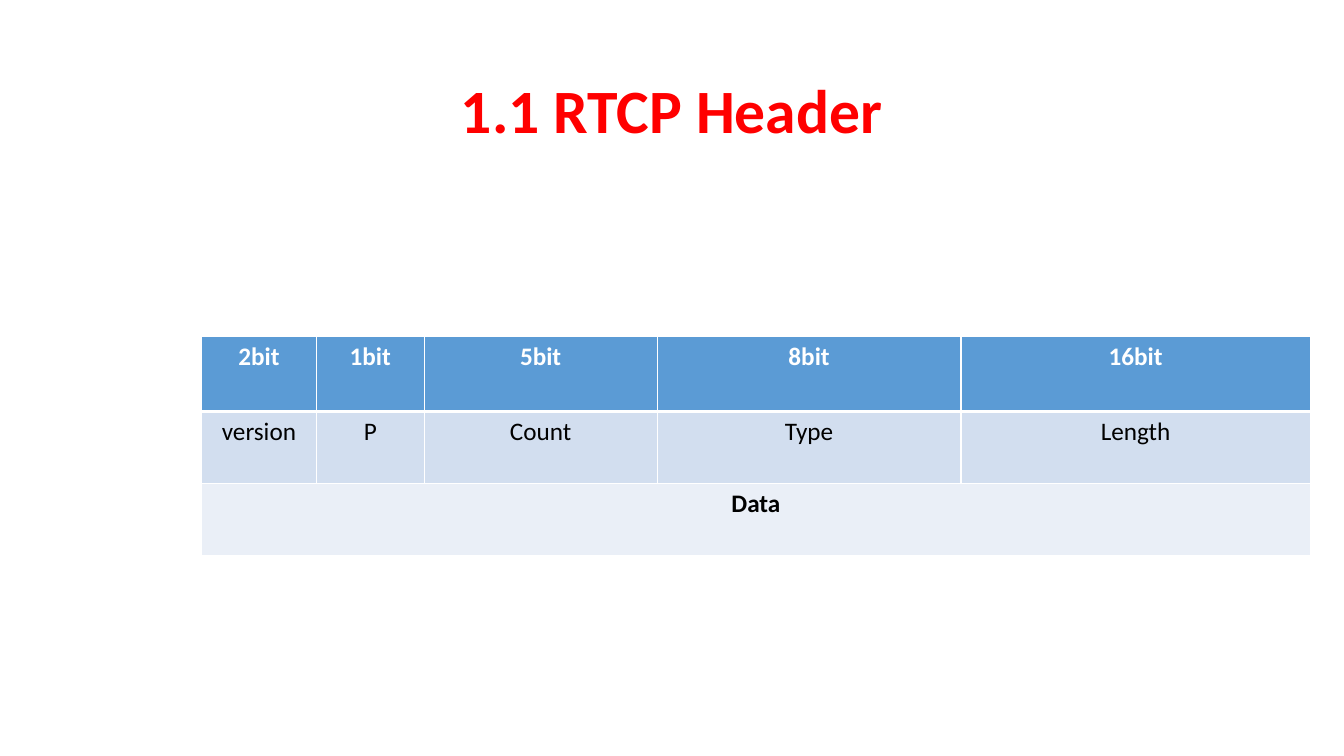
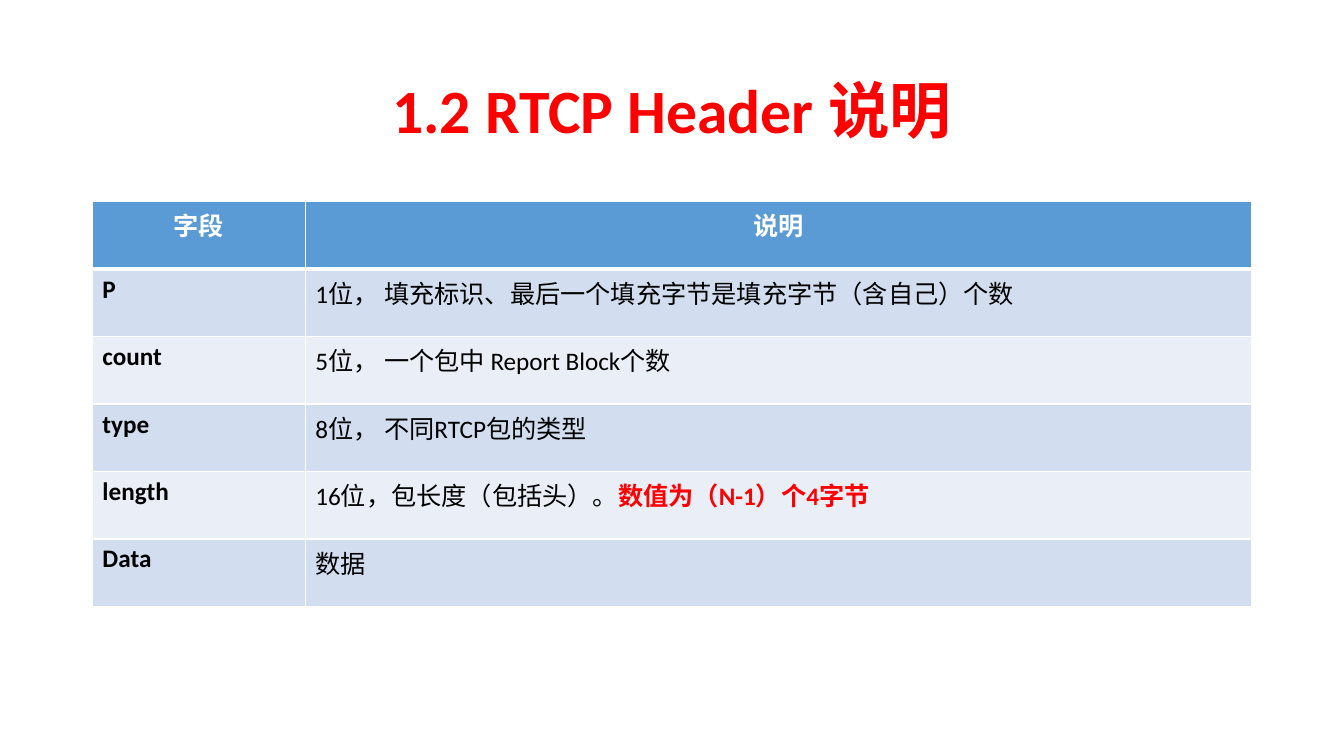
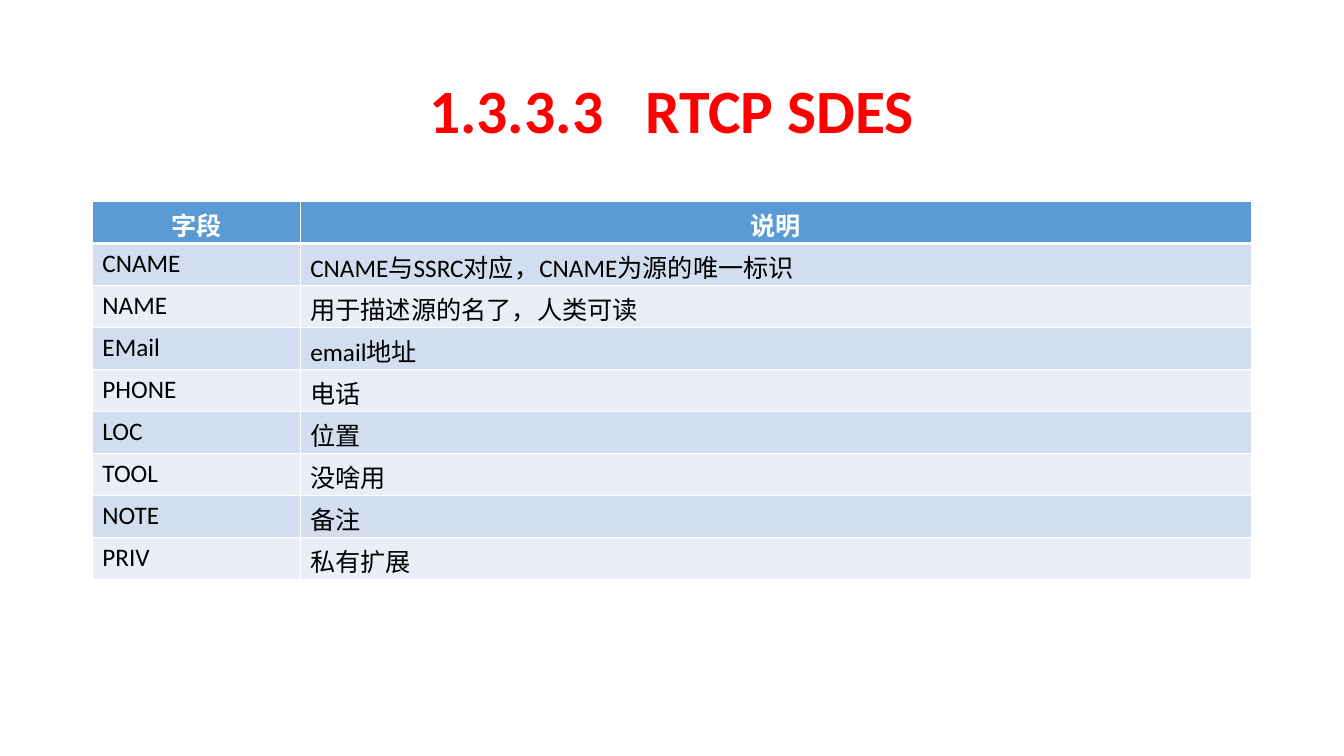
from lxml import etree
from pptx import Presentation
from pptx.dml.color import RGBColor
from pptx.enum import text
from pptx.oxml import ns
from pptx.util import Pt

RED = RGBColor(0xFF, 0x00, 0x00)
WHITE = RGBColor(0xFF, 0xFF, 0xFF)
BLACK = RGBColor(0x00, 0x00, 0x00)
HEADER_FILL = RGBColor(0x5B, 0x9B, 0xD5)
BAND_FILLS = [RGBColor(0xD2, 0xDE, 0xEF), RGBColor(0xEA, 0xEF, 0xF7)]
FONT = "Calibri"
CENTER, LEFT = text.PP_ALIGN.CENTER, text.PP_ALIGN.LEFT


def style_run(r, size, color, bold):
    r.font.name, r.font.size = FONT, Pt(size)
    r.font.color.rgb, r.font.bold = color, bold


def add_borders(cell, top, bottom):
    tcPr = cell._tc.get_or_add_tcPr()
    for side, width in (("L", 1), ("R", 1), ("T", top), ("B", bottom)):
        ln = etree.SubElement(tcPr, ns.qn("a:ln" + side), w=str(Pt(width)))
        fill = etree.SubElement(ln, ns.qn("a:solidFill"))
        etree.SubElement(fill, ns.qn("a:srgbClr"), val=str(WHITE))


# Slide content; a tuple in a cell is plain text followed by red bold text
slides = [
    {
        "title": "1.1 RTCP Header",
        "at": (144, 240),
        "cols": [82, 77, 166.5, 217, 249.5],
        "heights": [54, 51.5, 51.5],
        "body_align": CENTER,
        "bold": {"Data"},
        "rows": [
            ["2bit", "1bit", "5bit", "8bit", "16bit"],
            ["version", "P", "Count", "Type", "Length"],
            ["Data"],
        ],
    },
    {
        "title": "1.2 RTCP Header 说明",
        "at": (66, 144),
        "cols": [152, 676],
        "heights": [48.2] * 6,
        "body_align": LEFT,
        "bold": {"P", "count", "type", "length", "Data"},
        "rows": [
            ["字段", "说明"],
            ["P", "1位， 填充标识、最后一个填充字节是填充字节（含自己）个数"],
            ["count", "5位， 一个包中 Report Block个数"],
            ["type", "8位， 不同RTCP包的类型"],
            ["length", ("16位，包长度（包括头）。", "数值为（N-1）个4字节")],
            ["Data", "数据"],
        ],
    },
    {
        "title": "1.3.3.3   RTCP SDES",
        "at": (66, 144),
        "cols": [148.5, 679.5],
        "heights": [30] * 9,
        "body_align": LEFT,
        "bold": set(),
        "rows": [
            ["字段", "说明"],
            ["CNAME", "CNAME与SSRC对应，CNAME为源的唯一标识"],
            ["NAME", "用于描述源的名了，人类可读"],
            ["EMail", "email地址"],
            ["PHONE", "电话"],
            ["LOC", "位置"],
            ["TOOL", "没啥用"],
            ["NOTE", "备注"],
            ["PRIV", "私有扩展"],
        ],
    },
]

prs = Presentation()
prs.slide_width, prs.slide_height = Pt(960), Pt(540)

for content in slides:
    s = prs.slides.add_slide(prs.slide_layouts[6])

    # Title
    tf = s.shapes.add_textbox(Pt(66), Pt(28.75), Pt(828), Pt(104.4)).text_frame
    tf.word_wrap = True
    tf.vertical_anchor = text.MSO_ANCHOR.MIDDLE
    p = tf.paragraphs[0]
    p.text = content["title"]
    p.alignment, p.line_spacing = CENTER, 0.9
    style_run(p.runs[0], 44, RED, True)

    # Table grid
    rows, cols, heights = content["rows"], content["cols"], content["heights"]
    left, top = content["at"]
    table = s.shapes.add_table(len(rows), len(cols), Pt(left), Pt(top),
                               Pt(sum(cols)), Pt(sum(heights))).table
    for column, width in zip(table.columns, cols):
        column.width = Pt(width)
    for row, height in zip(table.rows, heights):
        row.height = Pt(height)

    # Cells: header row, then alternating bands
    for i, values in enumerate(rows):
        header = i == 0
        if len(values) < len(cols):
            table.cell(i, 0).merge(table.cell(i, len(cols) - 1))
        for j in range(len(cols)):
            cell = table.cell(i, j)
            add_borders(cell, 3 if i == 1 else 1, 3 if header else 1)
            cell.fill.solid()
            cell.fill.fore_color.rgb = HEADER_FILL if header else BAND_FILLS[(i - 1) % 2]
        for j, value in enumerate(values):
            p = table.cell(i, j).text_frame.paragraphs[0]
            p.alignment = CENTER if header else content["body_align"]
            plain, *marked = value if isinstance(value, tuple) else (value,)
            p.text = plain
            bold = header or (j == 0 and plain in content["bold"])
            style_run(p.runs[0], 18, WHITE if header else BLACK, bold)
            for words in marked:
                r = p.add_run()
                r.text = words
                style_run(r, 18, RED, True)

prs.save("out.pptx")
